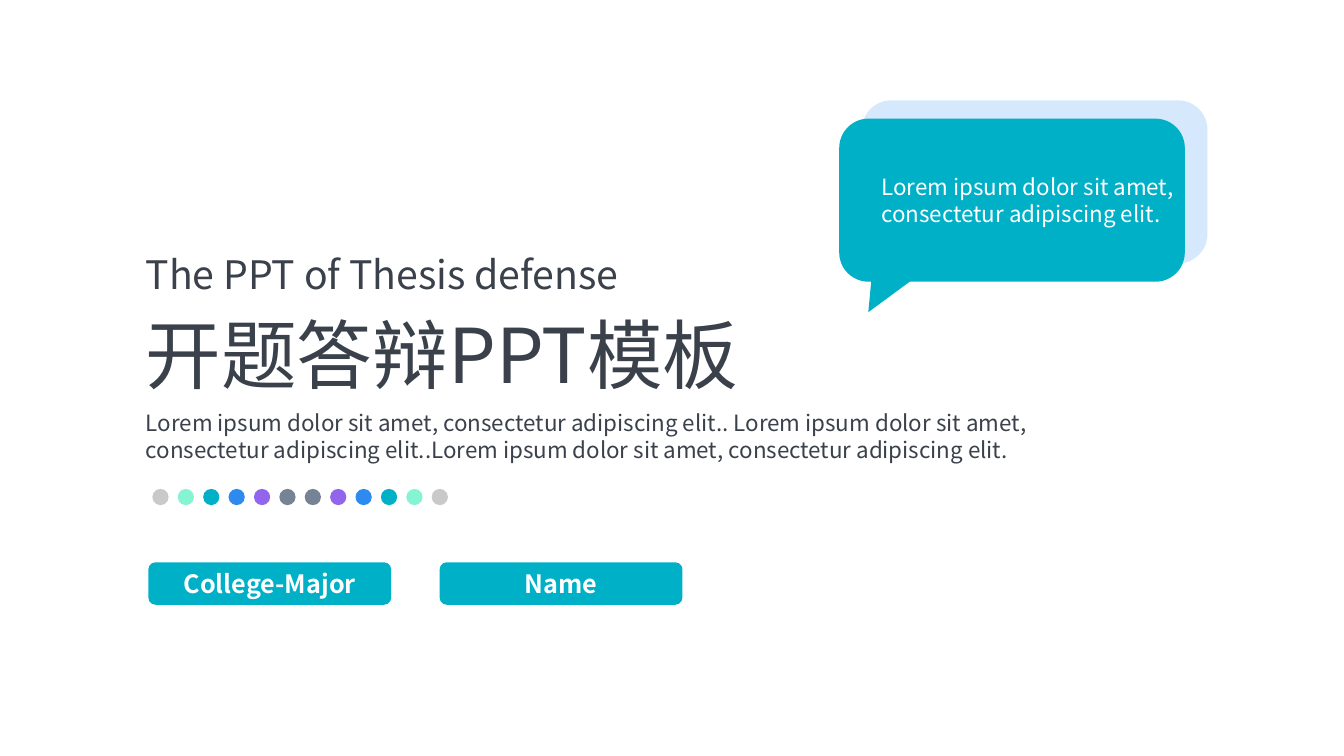
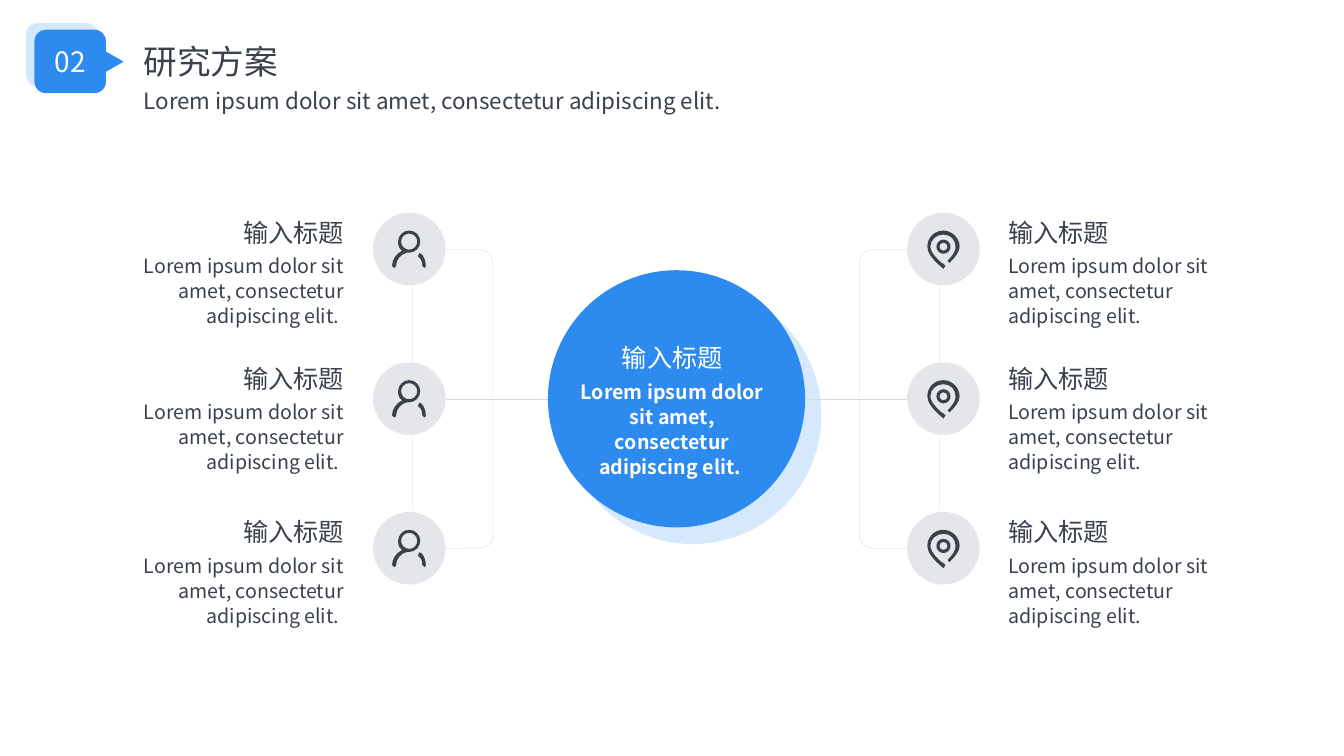
from dataclasses import dataclass

import pptx
import pptx.dml.color
import pptx.enum.shapes
import pptx.enum.text
import pptx.util
from lxml import etree
from pptx.oxml.ns import qn

Cm = pptx.util.Cm
Pt = pptx.util.Pt
SHAPE = pptx.enum.shapes.MSO_SHAPE
ALIGN = pptx.enum.text.PP_ALIGN
ANCHOR = pptx.enum.text.MSO_ANCHOR

FONT = "Noto Sans CJK SC"
COLORS = {
    "ink": "3A414B",
    "white": "FFFFFF",
    "teal": "00B0C7",
    "blue": "2D8AEF",
    "pale": "D5E8FC",
    "mint": "86F3D2",
    "violet": "9266EC",
    "slate": "768395",
    "silver": "C9C9C9",
    "mist": "E4E6EA",
    "rule": "D9D9D9",
}
LOREM = "Lorem ipsum dolor sit amet, consectetur adipiscing elit."
HEADING = "输入标题"
ICON_UNITS_PER_CM = 39.37


@dataclass(frozen=True)
class Box:
    x: float
    y: float
    w: float
    h: float

    def moved(self, dx: float, dy: float) -> "Box":
        return Box(self.x + dx, self.y + dy, self.w, self.h)

    def lengths(self) -> tuple:
        return Cm(self.x), Cm(self.y), Cm(self.w), Cm(self.h)


@dataclass(frozen=True)
class Style:
    size: int
    color: str = "ink"
    bold: bool = False
    align: int = ALIGN.LEFT
    spacing: int = 0


@dataclass(frozen=True)
class Side:
    circle_x: float
    icon_dx: float
    heading_x: float
    body_x: float
    bracket_x: float
    rotation: int
    align: int
    body: str
    icon: list


def rgb(name: str):
    return pptx.dml.color.RGBColor.from_string(COLORS[name])


def format_text(tf, text: str, style: Style) -> None:
    tf.text = text
    tf.word_wrap = True
    p = tf.paragraphs[0]
    p.alignment = style.align
    p.space_before = Pt(0)
    if style.spacing:
        p.line_spacing = Pt(style.spacing)
    for r in p.runs:
        r.font.size = Pt(style.size)
        r.font.bold = style.bold
        r.font.name = FONT
        r.font.color.rgb = rgb(style.color)
        ea = etree.SubElement(r.font._element, qn("a:ea"))
        ea.set("typeface", FONT)


def add_text(s, box: Box, text: str, style: Style) -> None:
    tb = s.shapes.add_textbox(*box.lengths())
    format_text(tb.text_frame, text, style)


def fill_placeholder(ph, box: Box, text: str, style: Style) -> None:
    ph.left, ph.top, ph.width, ph.height = box.lengths()
    tf = ph.text_frame
    tf.auto_size = pptx.enum.text.MSO_AUTO_SIZE.NONE
    tf.vertical_anchor = ANCHOR.TOP
    format_text(tf, text, style)
    pPr = tf.paragraphs[0]._p.get_or_add_pPr()
    pPr.set("marL", "0")
    pPr.set("indent", "0")
    etree.SubElement(pPr, qn("a:buNone"))


def paint(sp, color: str) -> None:
    sp.shadow.inherit = False
    sp.fill.solid()
    sp.fill.fore_color.rgb = rgb(color)
    sp.line.fill.background()


def add_shape(s, kind, box: Box, color: str, rotation: float = 0):
    sp = s.shapes.add_shape(kind, *box.lengths())
    sp.rotation = rotation
    paint(sp, color)
    return sp


def add_round_rect(s, box: Box, color: str, radius: float, text: str = "", size: int = 18,
                   bold: bool = False) -> None:
    sp = add_shape(s, SHAPE.ROUNDED_RECTANGLE, box, color)
    sp.adjustments[0] = radius
    if text:
        format_text(sp.text_frame, text, Style(size, "white", bold, ALIGN.CENTER))
        sp.text_frame.vertical_anchor = ANCHOR.MIDDLE


def set_rule(line) -> None:
    line.color.rgb = rgb("rule")
    line.width = Pt(0.25)


def circle(x: float, y: float, r: float) -> list:
    k = 0.55 * r
    return [(x, y - r), (x + k, y - r, x + r, y - k, x + r, y),
            (x + r, y + k, x + k, y + r, x, y + r),
            (x - k, y + r, x - r, y + k, x - r, y),
            (x - r, y - k, x - k, y - r, x, y - r)]


PERSON = [
    [(17, 0), (11, 0, 6, 5, 6, 11), (6, 15, 7, 18, 10, 20), (4, 23, 0, 29, 0, 35),
     (0, 36, 1, 37, 2, 37), (3, 37, 4, 36, 4, 35), (4, 29, 9, 23, 15, 22), (17, 22),
     (23, 22, 28, 17, 28, 11), (28, 5, 23, 0, 17, 0)],
    circle(17, 11, 8),
    [(33.5, 35), (33.5, 31, 32, 26, 29, 23), (28, 22.5, 27.5, 22.5, 27, 22.5),
     (26.5, 23, 26, 24, 26, 25), (26, 26), (29, 28, 30, 31, 30, 35),
     (30, 36, 31, 37, 32, 37), (33, 37, 33.5, 36, 33.5, 35)],
]
PIN = [
    [(18, 35), (16, 33), (15, 33, 15, 32, 14, 32), (5, 24, 3, 19, 3, 16),
     (3, 9, 9, 4, 16, 4), (23, 4, 28, 9, 28, 16), (28, 19, 27, 23, 20, 30), (22, 32),
     (28, 26, 32, 21, 32, 16), (32, 7, 24, 0, 16, 0), (7, 0, 0, 7, 0, 16),
     (0, 22, 5, 29, 16, 38), (17, 37, 17, 36, 18, 35)],
    circle(16, 16, 4),
    circle(16, 16, 7),
]


def step_points(step: tuple) -> list:
    scaled = [Cm(v / ICON_UNITS_PER_CM) for v in step]
    return list(zip(scaled[::2], scaled[1::2]))


def bend_lines(sp, contours: list) -> None:
    lines = iter(list(sp._element.iter(qn("a:lnTo"))))
    for contour in contours:
        for step in contour[1:]:
            group = [next(lines) for _ in step_points(step)]
            if len(group) == 1:
                continue
            curve = etree.Element(qn("a:cubicBezTo"))
            group[0].addprevious(curve)
            for line in group:
                curve.append(line[0])
                line.getparent().remove(line)


def add_icon(s, x: float, y: float, contours: list) -> None:
    builder = s.shapes.build_freeform(*step_points(contours[0][0])[0], scale=1.0)
    for i, (start, *steps) in enumerate(contours):
        if i:
            builder.move_to(*step_points(start)[0])
        builder.add_line_segments([pt for step in steps for pt in step_points(step)], close=True)
    sp = builder.convert_to_shape(Cm(x), Cm(y))
    bend_lines(sp, contours)
    paint(sp, "ink")


def add_callout(s, box: Box, color: str) -> None:
    add_round_rect(s, box, color, 0.18)
    tail = Box(box.x + 0.35, box.y + 3.1, 1.7, 1.9)
    add_shape(s, SHAPE.ISOSCELES_TRIANGLE, tail, color, 209.5)


def add_titles(s, title: tuple, subtitle: tuple) -> None:
    fill_placeholder(s.shapes.title, *title)
    fill_placeholder(s.placeholders[1], *subtitle)


def build_cover(prs) -> None:
    s = prs.slides.add_slide(prs.slide_layouts[0])
    add_titles(s, (Box(3.42, 7.62, 17.12, 2.57), "开题答辩PPT模板", Style(54)),
               (Box(3.42, 6.17, 13.89, 1.45), "The PPT of Thesis defense", Style(28)))
    add_text(s, Box(3.43, 10.19, 25.12, 1.63), f"{LOREM}. {LOREM}.{LOREM}", Style(16))

    bubble = Box(21.15, 2.99, 8.71, 4.11)
    add_callout(s, bubble.moved(0.57, -0.46), "pale")
    add_callout(s, bubble, "teal")
    add_text(s, Box(21.96, 4.23, 8.48, 1.63), LOREM, Style(16, "white"))

    half = ["silver", "mint", "teal", "blue", "violet", "slate"]
    for i, color in enumerate(half + half[::-1]):
        add_shape(s, SHAPE.OVAL, Box(3.84 + 0.64 * i, 12.32, 0.41, 0.41), color)

    for i, label in enumerate(["College-Major", "Name"]):
        button = Box(3.74 + 7.34 * i, 14.17, 6.12, 1.07)
        add_round_rect(s, button, "teal", 0.17, label, bold=True)


def add_badge(s, number: str) -> None:
    badge = Box(0.87, 0.75, 1.8, 1.6)
    add_shape(s, SHAPE.ISOSCELES_TRIANGLE, Box(2.16, 1.11, 1.02, 0.89), "blue", 90)
    add_round_rect(s, badge.moved(-0.21, -0.17), "pale", 0.18)
    add_round_rect(s, badge, "blue", 0.18, number, 20)


def add_entry(s, heading: Box, body: Box, text: str, color: str, align: int,
              bold: bool = False) -> None:
    add_text(s, heading, HEADING, Style(18, color, align=align))
    add_text(s, body, text, Style(14, color, bold, align, 18))


def build_plan(prs) -> None:
    s = prs.slides.add_slide(prs.slide_layouts[1])
    add_badge(s, "02")
    add_titles(s, (Box(3.37, 0.91, 10, 1.27), "研究方案", Style(24)),
               (Box(3.37, 2.06, 16, 0.94), LOREM, Style(16)))

    hub = Box(13.81, 6.81, 6.48, 6.48)
    add_shape(s, SHAPE.OVAL, hub.moved(0.41, 0.42), "pale")
    axis = s.shapes.add_connector(pptx.enum.shapes.MSO_CONNECTOR.STRAIGHT,
                                  Cm(11.2), Cm(10.06), Cm(22.86), Cm(10.06))
    set_rule(axis.line)
    etree.SubElement(axis._element.spPr, qn("a:effectLst"))
    add_shape(s, SHAPE.OVAL, hub, "blue")

    sides = [
        Side(9.4, 0.48, 4.55, 2.16, 7.65, 90, ALIGN.RIGHT, LOREM + " ", PERSON),
        Side(22.86, 0.51, 25.16, 25.16, 18.91, 270, ALIGN.LEFT, LOREM, PIN),
    ]
    for side in sides:
        bracket = add_shape(s, SHAPE.ROUND_2_SAME_RECTANGLE,
                            Box(side.bracket_x, 9.04, 7.52, 2.03), "white", side.rotation)
        bracket.fill.background()
        set_rule(bracket.line)
        for row, text_y in enumerate([5.34, 9.02, 12.89]):
            y = 5.36 + 3.77 * row
            add_shape(s, SHAPE.OVAL, Box(side.circle_x, y, 1.83, 1.83), "mist")
            add_icon(s, side.circle_x + side.icon_dx, y + 0.45, side.icon)
            add_entry(s, Box(side.heading_x, text_y, 4.37, 1.02),
                      Box(side.body_x, text_y + 0.89, 6.76, 1.52),
                      side.body, "ink", side.align)

    add_entry(s, Box(14.76, 8.51, 4.37, 1.02), Box(14.35, 9.4, 5.18, 2.16),
              LOREM + " ", "white", ALIGN.CENTER, True)


def main() -> None:
    prs = pptx.Presentation()
    prs.slide_width, prs.slide_height = Cm(33.87), Cm(19.05)
    build_cover(prs)
    build_plan(prs)
    prs.save("out.pptx")


if __name__ == "__main__":
    main()
